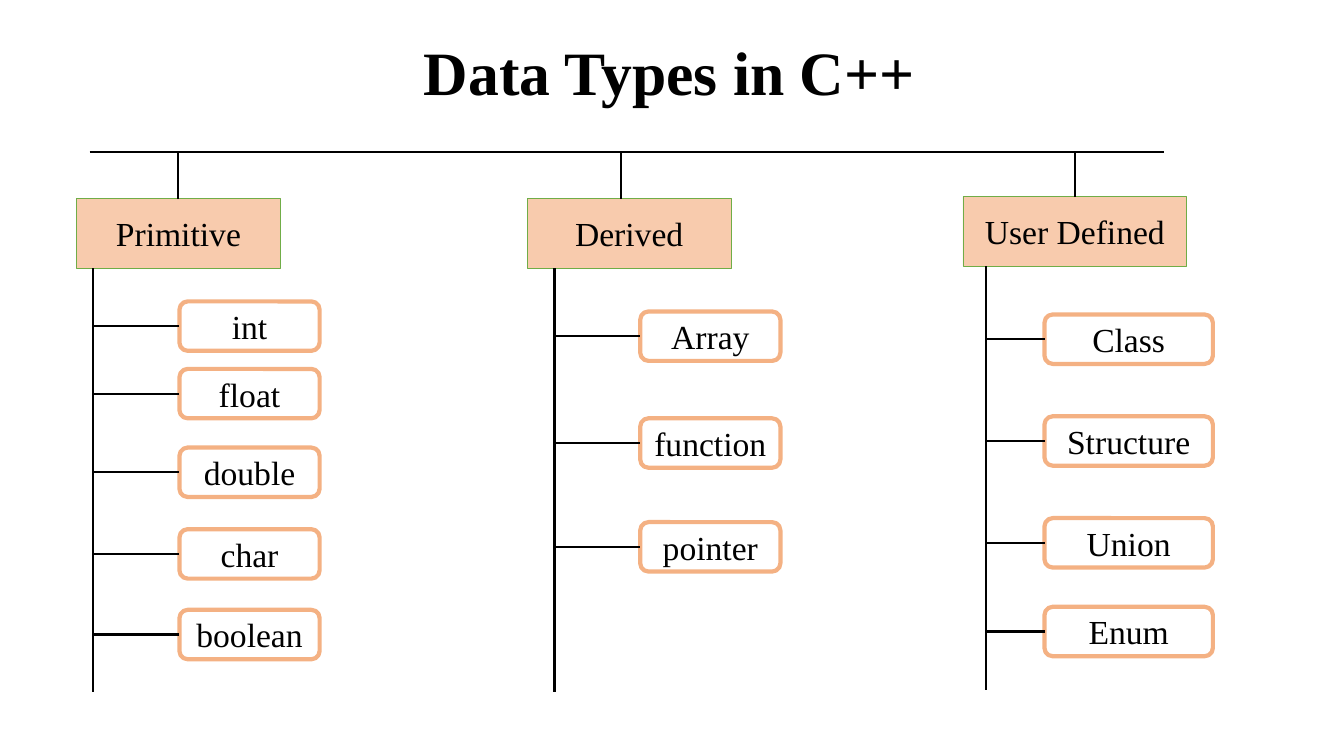
from dataclasses import dataclass

from lxml import etree
from pptx import Presentation
from pptx import util as u
from pptx.dml.color import RGBColor
from pptx.enum import shapes, text
from pptx.oxml.ns import qn


@dataclass(frozen=True)
class Theme:
    font: str = "Times New Roman"
    ink: str = "000000"
    paper: str = "FFFFFF"
    peach: str = "F8CBAD"
    green: str = "70AD47"
    orange: str = "F4B183"
    title: int = 44
    label: int = 24
    rule: float = 1.5


T = Theme()
CELL = u.Inches(0.1)  # the slide is a grid of 133.3 columns by 75 rows
COLS, ROWS = 133.3, 75
BAR = 15.1  # row of the bar that all branches hang from

HEAD = dict(kind=shapes.MSO_SHAPE.RECTANGLE, fill=T.peach, edge=T.green, width=0.5)
LEAF = dict(kind=shapes.MSO_SHAPE.ROUNDED_RECTANGLE, fill=T.paper, edge=T.orange, width=3)

# box: left, top, width, height of the head; stem: share of its width
# spine and leaf: columns from the head's left; rows: tops of the leaves
BRANCHES = [
    dict(name="Primitive", box=(7.6, 19.7, 20.2, 6.9), stem=0.5, spine=1.6,
         leaf=10.2, wide=13.9,
         rows={"int": 29.9, "float": 36.6, "double": 44.4, "char": 52.5, "boolean": 60.5}),
    dict(name="Derived", box=(52.3, 19.7, 20.2, 6.9), stem=0.46, spine=2.7,
         leaf=11.2, wide=13.9,
         rows={"Array": 30.9, "function": 41.5, "pointer": 51.8}),
    dict(name="User Defined", box=(95.5, 19.5, 22.2, 6.9), stem=0.5, spine=2.3,
         leaf=8.1, wide=16.7,
         rows={"Class": 31.2, "Structure": 41.3, "Union": 51.4, "Enum": 60.2}),
]


def cells(*nums):
    return [round(n * CELL) for n in nums]


def rgb(code):
    return RGBColor.from_string(code)


def write(shape, words, size, **look):
    frame = shape.text_frame
    frame.word_wrap = True
    frame.vertical_anchor = text.MSO_ANCHOR.MIDDLE
    para = frame.paragraphs[0]
    para.text = words
    para.alignment = text.PP_ALIGN.CENTER
    para.font.color.rgb = rgb(T.ink)
    for key, val in dict(name=T.font, size=u.Pt(size), **look).items():
        setattr(para.font, key, val)
    return para


def node(slide, words, box, kind, fill, edge, width):
    shape = slide.shapes.add_shape(kind, *cells(*box))
    shape.shadow.inherit = False
    shape.fill.solid()
    shape.fill.fore_color.rgb = rgb(fill)
    shape.line.color.rgb = rgb(edge)
    shape.line.width = u.Pt(width)
    write(shape, words, T.label)
    return shape


def rule(slide, *ends):
    line = slide.shapes.add_connector(shapes.MSO_CONNECTOR.STRAIGHT, *cells(*ends))
    line.line.color.rgb = rgb(T.ink)
    line.line.width = u.Pt(T.rule)
    etree.SubElement(line._element.spPr, qn("a:effectLst"))
    return line


def title(slide, box, words):
    area = slide.shapes.add_textbox(*cells(*box))
    write(area, words, T.title, bold=True).line_spacing = 0.9


def branch(slide, name, box, stem, spine, leaf, wide, rows):
    left, top, width, height = box
    base, trunk = top + height, left + spine

    # Head, and the stem that hangs it from the bar
    head = node(slide, name, box, **HEAD)
    mid = left + stem * width
    drop = rule(slide, mid, BAR, mid, top)
    if stem == 0.5:
        drop.end_connect(head, 0)

    # Spine with one stub to each leaf
    rule(slide, trunk, base, trunk, base + 42.1)
    for word, row in rows.items():
        tall = 4.9
        item = node(slide, word, (left + leaf, row, wide, tall), **LEAF)
        half = row + tall / 2
        rule(slide, trunk, half, left + leaf, half).end_connect(item, 1)


def main():
    deck = Presentation()
    deck.slide_width, deck.slide_height = cells(COLS, ROWS)
    slide = deck.slides.add_slide(deck.slide_layouts[6])
    title(slide, (8.9, 0.2, 115, 14.5), "Data Types in C++")
    rule(slide, 8.9, BAR, 115.4, BAR)
    for part in BRANCHES:
        branch(slide, **part)
    deck.save("out.pptx")


if __name__ == "__main__":
    main()
